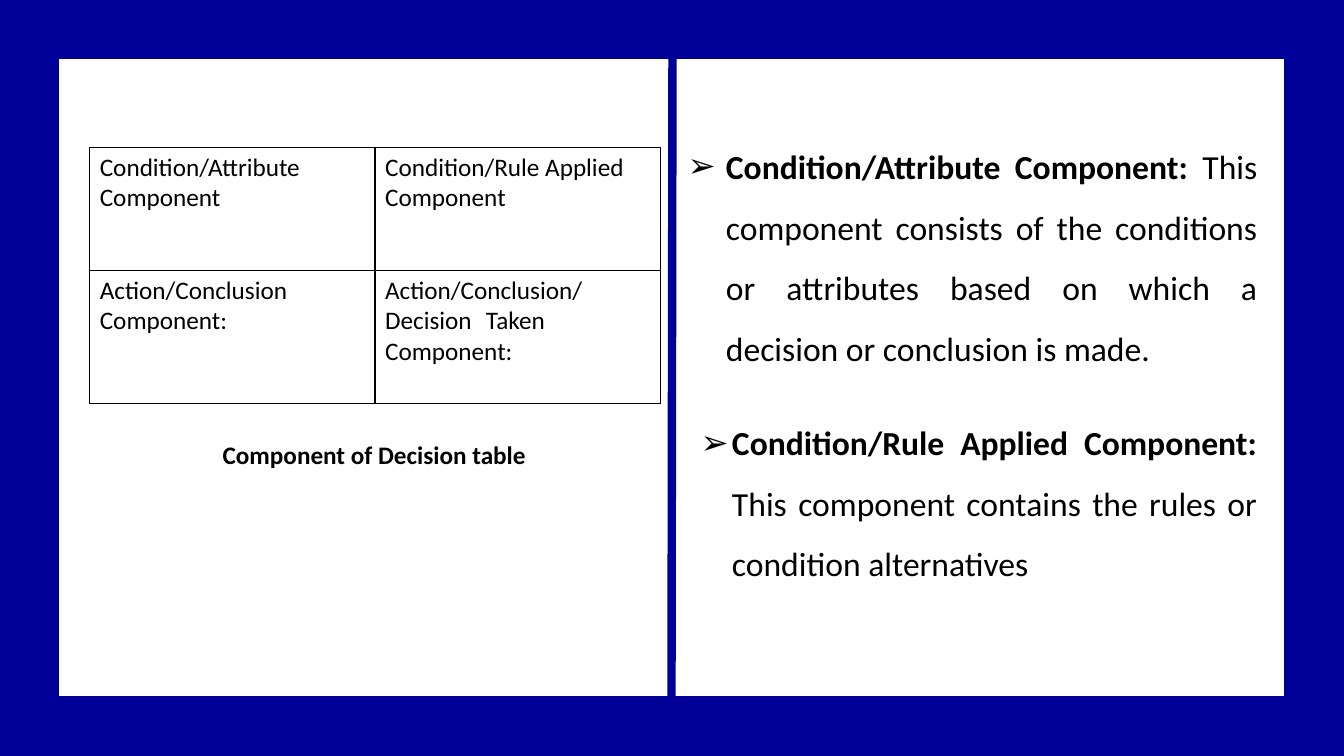
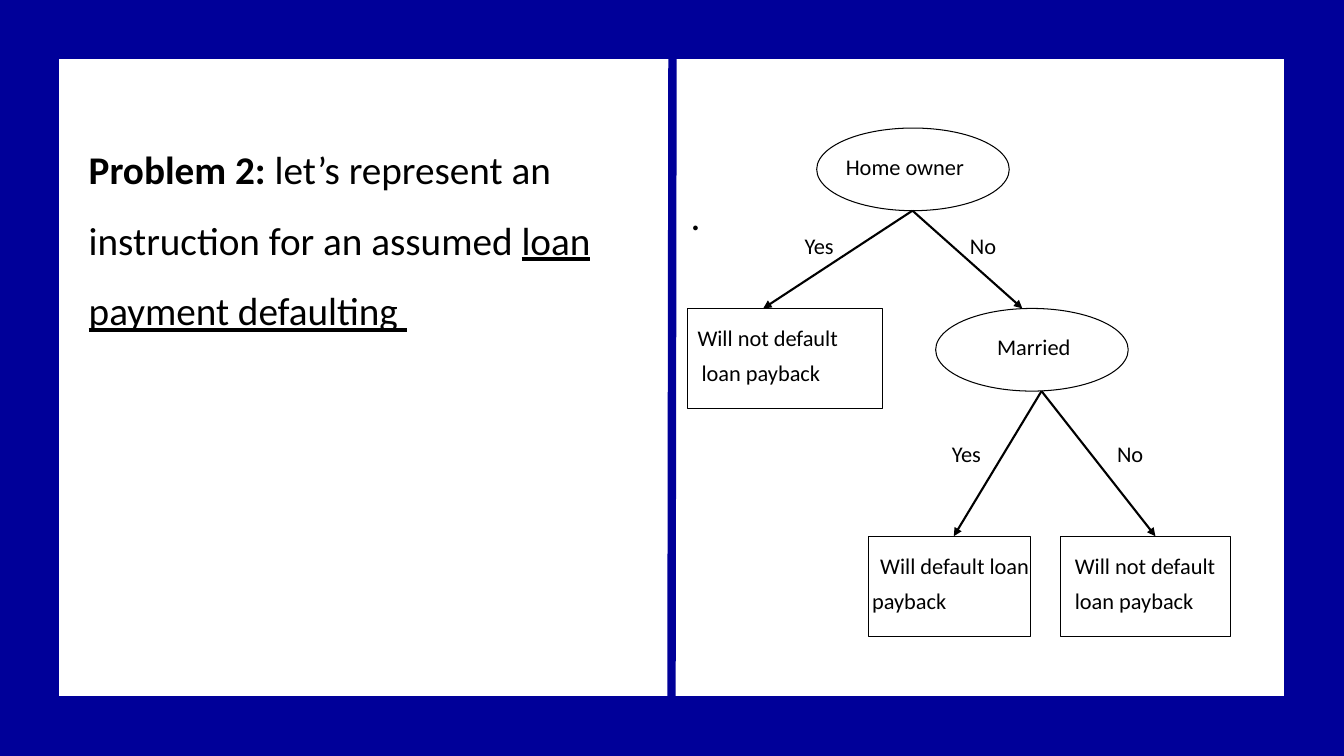
from pptx import Presentation
from pptx.dml.color import RGBColor
from pptx.enum.shapes import MSO_CONNECTOR as Conn, MSO_SHAPE as Geo
from pptx.enum.text import MSO_ANCHOR as Anchor, MSO_AUTO_SIZE as Auto, PP_ALIGN as Align
from pptx.oxml.ns import qn
from pptx.util import Inches, Pt
from lxml.etree import SubElement as Sub

NAVY = RGBColor(0x00, 0x00, 0x99)
BLACK = RGBColor(0x00, 0x00, 0x00)
FONT = "Calibri"
WIDE, HIGH = 13.33, 7.5
OVAL = (1.91, 0.82)
TALL = 0.99  # height of an answer box


def box(x, y, w, h):
    return [Inches(v) for v in (x, y, w, h)]


def write(frame, paras, size=16, align=Align.LEFT, lead=1.0, before=0, after=0,
          inset=(0.1, 0.05, 0.1, 0.05), bullet=None, hang=0, indents=()):
    """Fill a frame; each paragraph is a list of (text, style), style holding b and/or u."""
    frame.word_wrap, frame.auto_size = True, Auto.NONE
    frame.vertical_anchor = Anchor.TOP
    (frame.margin_left, frame.margin_top,
     frame.margin_right, frame.margin_bottom) = box(*inset)
    for i, runs in enumerate(paras):
        para = frame.paragraphs[0] if i == 0 else frame.add_paragraph()
        para.alignment, para.line_spacing = align, lead
        para.space_before, para.space_after = Pt(before), Pt(after)
        props = para._p.get_or_add_pPr()
        left = indents[i] if indents else hang
        props.set("marL", str(Inches(left)))
        props.set("indent", str(-Inches(hang)))
        if bullet:
            Sub(props, qn("a:buChar")).set("char", bullet)
        else:
            Sub(props, qn("a:buNone"))
        for text, style in runs:
            run = para.add_run()
            run.text = text
            font = run.font
            font.name, font.size = FONT, Pt(size)
            font.color.rgb = BLACK
            font.bold, font.underline = "b" in style, "u" in style


def line(slide, start, end, color, width, head=False):
    ends = [Inches(v) for v in (*start, *end)]
    link = slide.shapes.add_connector(Conn.STRAIGHT, *ends)
    link.line.color.rgb, link.line.width = color, Pt(width)
    if head:
        Sub(link.line._get_or_add_ln(), qn("a:tailEnd")).set("type", "triangle")
    Sub(link._element.spPr, qn("a:effectLst"))
    return link


def outline(slide, geo, area, color, width):
    shape = slide.shapes.add_shape(geo, *box(*area))
    shape.shadow.inherit = False
    shape.fill.background()
    shape.line.color.rgb, shape.line.width = color, Pt(width)
    return shape


def label(slide, area, text, style="", **fmt):
    write(slide.shapes.add_textbox(*box(*area)).text_frame, [[(text, style)]], **fmt)


def frame_master(deck, slide):
    """Move the divider and the border to the master, for every slide."""
    tree = deck.slide_master.shapes.element
    split = line(slide, (6.67, 0.56), (6.66, 6.93), NAVY, 6)
    edge = outline(slide, Geo.RECTANGLE, (0, 0, WIDE, HIGH), NAVY, 85)
    for part in (split, edge):
        tree.append(part.element)


def new_slide(deck):
    """Add a two-body slide without its title."""
    slide = deck.slides.add_slide(deck.slide_layouts[3])
    title = slide.shapes.title.element
    title.getparent().remove(title)
    return slide


def body(slide, index, area, runs, **fmt):
    hold = slide.placeholders[index]
    hold.left, hold.top, hold.width, hold.height = box(*area)
    write(hold.text_frame, [runs], **fmt)


def border(cell):
    props = cell._tc.get_or_add_tcPr()
    for i, side in enumerate(("a:lnL", "a:lnR", "a:lnT", "a:lnB")):
        edge = props.makeelement(qn(side), {"w": str(Pt(1))})
        Sub(Sub(edge, qn("a:solidFill")), qn("a:srgbClr")).set("val", str(BLACK))
        props.insert(i, edge)


def grid(slide, x, y, rows, width, heights):
    cols = len(rows[0])
    area = box(x, y, width * cols, sum(heights))
    table = slide.shapes.add_table(len(rows), cols, *area).table
    for col in table.columns:
        col.width = Inches(width)
    for r, texts in enumerate(rows):
        table.rows[r].height = Inches(heights[r])
        for c, text in enumerate(texts):
            cell = table.cell(r, c)
            cell.fill.background()
            write(cell.text_frame, [[(text, "")]], size=18)
            border(cell)


def node(slide, geo, area, lines, inset, indents=()):
    shape = outline(slide, geo, area, BLACK, 0.75)
    write(shape.text_frame, [[(text, "")] for text in lines], lead=1.07, after=4.5,
          inset=(*inset, 0, 0), indents=indents)


def fork(slide, x, y, left, right, tag):
    """Draw Yes and No arrows from (x, y) to two ends; tag places Yes from there."""
    for end in (left, right):
        line(slide, (x, y), end, BLACK, 1.5, head=True)
    for i, text in enumerate(("Yes", "No")):
        label(slide, (x + tag[0] + i * 1.64, y + tag[1], 0.5, 0.46), text,
              lead=1.07, inset=(0, 0, 0, 0))


def tree(slide, x, y):
    """Draw the loan decision tree from its top left corner."""
    mid, low = y + 1.79, y + 4.05
    node(slide, Geo.OVAL, (x + 1.28, y, *OVAL), ["Home owner"], (0.01, 0.11))
    node(slide, Geo.OVAL, (x + 2.46, mid, *OVAL), ["Married"], (0.33, 0.11))
    answer = ["Will not default", "loan payback"]
    node(slide, Geo.RECTANGLE, (x, mid, 1.93, TALL), answer, (0.1, 0.14), (0, 0.04))
    node(slide, Geo.RECTANGLE, (x + 1.79, low, 1.61, TALL),
         ["Will default loan", "payback"], (0.04, 0.14), (0.08, 0))
    node(slide, Geo.RECTANGLE, (x + 3.7, low, 1.68, TALL), answer, (0.14, 0.14))
    fork(slide, x + 2.23, y + 0.82, (x + 0.75, mid), (x + 3.32, mid), (-1.07, 0.19))
    fork(slide, x + 3.51, y + 2.61, (x + 2.64, low), (x + 4.64, low), (-0.89, 0.47))


def parts_slide(slide):
    grid(slide, 0.89, 1.46, [
        ["Condition/Attribute Component", "Condition/Rule Applied Component"],
        ["Action/Conclusion Component:", "Action/Conclusion/Decision \tTaken Component:"],
    ], 2.83, (1.22, 1.32))
    label(slide, (2.11, 4.31, 3.4, 0.4), "Component of Decision table", "b", size=18)
    style = dict(size=24, align=Align.JUSTIFY, lead=1.5, bullet="➢")
    body(slide, 1, (6.72, 1.2, 5.85, 2.52), [
        ("Condition/Attribute Component:", "b"),
        (" This component consists of the conditions or attributes based on "
         "which a decision or conclusion is made.", "")], hang=0.38, **style)
    body(slide, 2, (6.85, 3.94, 5.72, 1.92), [
        ("Condition/Rule Applied Component:", "b"),
        (" This component contains the rules or condition alternatives", "")],
        hang=0.31, **style)


def loan_slide(slide):
    body(slide, 1, (0.78, 1.16, 5.71, 1.48), [
        ("Problem 2: ", "b"),
        ("let’s represent an instruction for an assumed ", ""),
        ("loan payment defaulting ", "u")], size=28, lead=1.5, before=10)
    body(slide, 2, (6.75, 1.9, 4.94, 4.87), [(".", "")], size=28, lead=0.9, before=10)
    tree(slide, 6.82, 1.27)


def main():
    deck = Presentation()
    deck.slide_width, deck.slide_height = Inches(WIDE), Inches(HIGH)
    first = new_slide(deck)
    frame_master(deck, first)
    parts_slide(first)
    loan_slide(new_slide(deck))
    deck.save("out.pptx")


if __name__ == "__main__":
    main()
